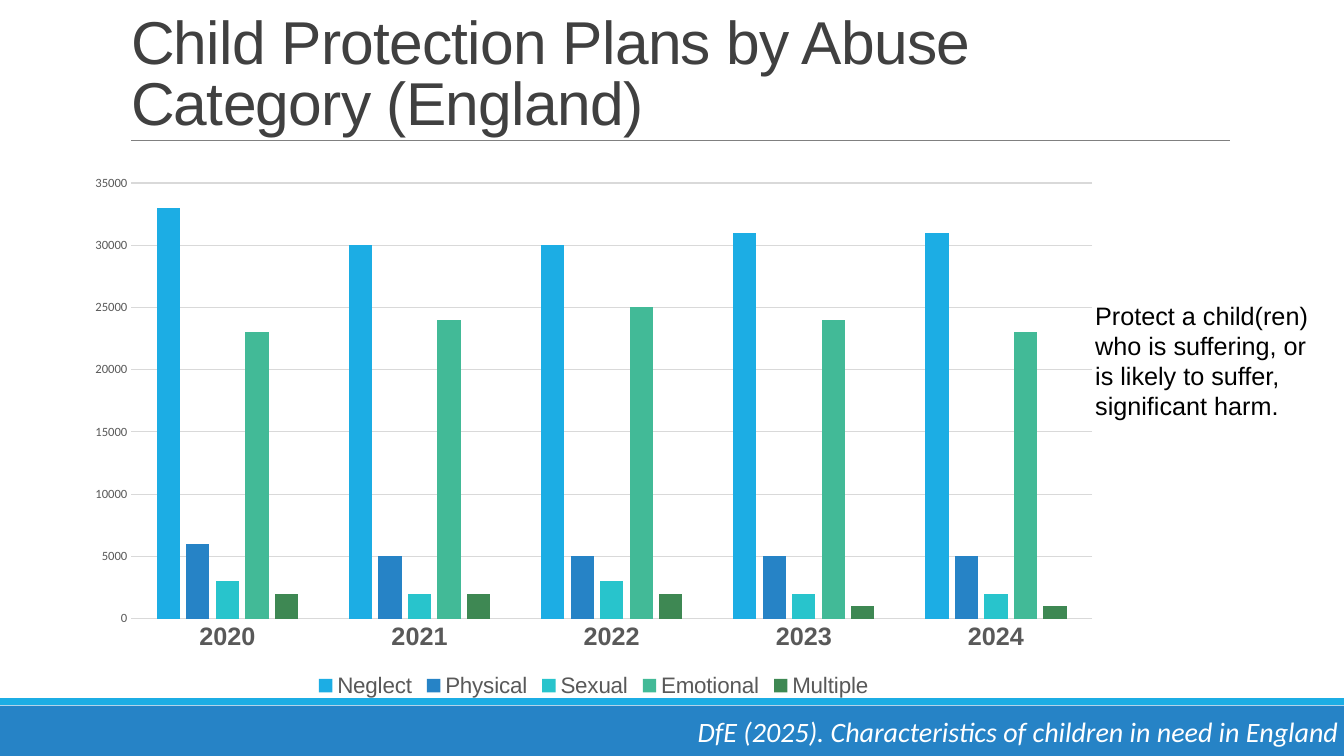
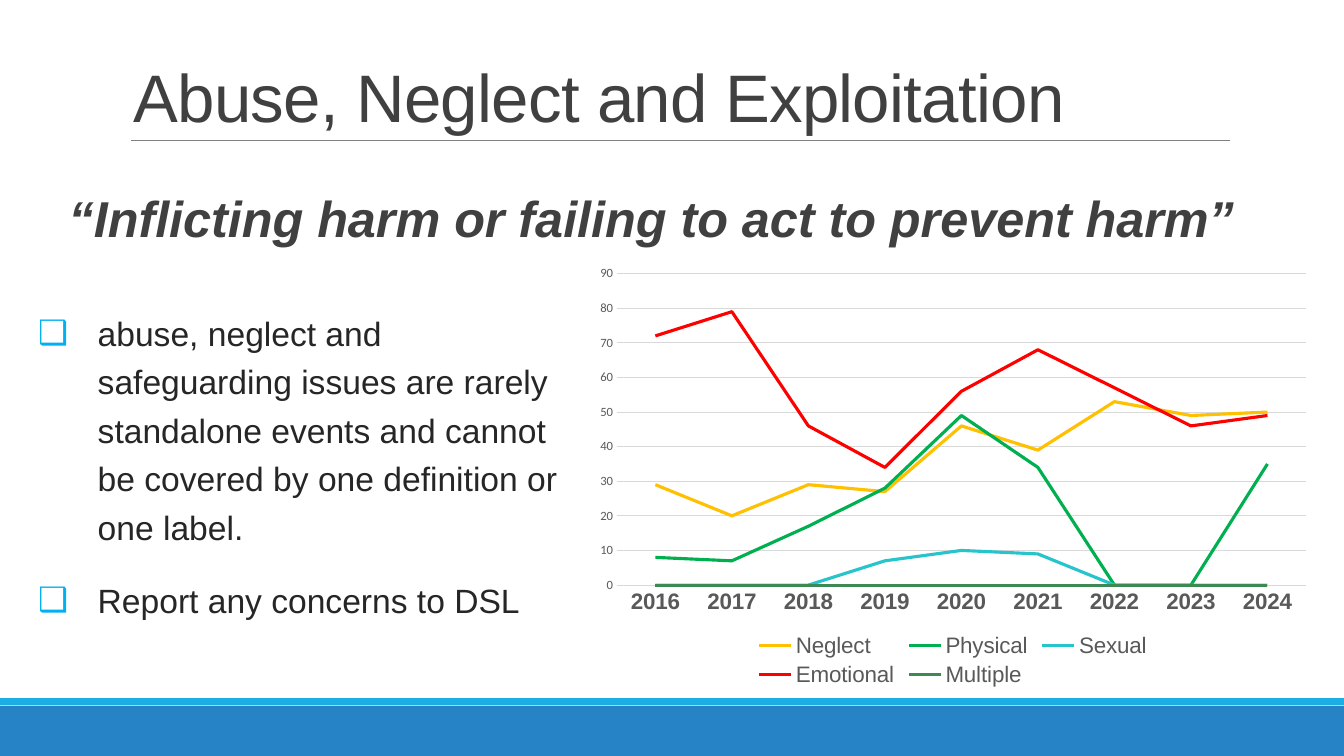
from lxml.etree import SubElement
from pptx import Presentation
from pptx.chart.data import CategoryChartData
from pptx.dml.color import RGBColor
from pptx.enum.chart import XL_CHART_TYPE, XL_LEGEND_POSITION, XL_TICK_MARK
from pptx.enum.shapes import MSO_CONNECTOR, MSO_SHAPE
from pptx.enum.text import MSO_ANCHOR, MSO_AUTO_SIZE, PP_ALIGN
from pptx.oxml.ns import qn
from pptx.util import Pt

COLOURS = {
    "band": "2683C6", "stripe": "1CADE4", "rule": "808080", "title": "404040",
    "body": "262626", "black": "000000", "white": "FFFFFF", "bullet": "00B0F0",
    "axis": "595959", "grid": "D9D9D9", "sky": "1CADE4", "blue": "2683C6",
    "teal": "28C4CC", "mint": "42BA97", "forest": "3E8853",
    "amber": "FFC000", "green": "00B050", "red": "FF0000",
}
HEADING_FONT = "Arial"
SMALL_FONT = "Calibri"
NO_SIDE_INSETS = (0, 10.8, 0, 0)


def colour(name):
    return RGBColor.from_string(COLOURS[name])


def points(values):
    return [Pt(value) for value in values]


def style_font(font, size, colour_name, name=HEADING_FONT, bold=False, italic=False):
    font.name, font.size, font.bold, font.italic = name, Pt(size), bold, italic
    font.color.rgb = colour(colour_name)


def set_insets(frame, insets):
    """Insets run left, top, right, bottom."""
    (frame.margin_left, frame.margin_top,
     frame.margin_right, frame.margin_bottom) = points(insets)


def set_tracking(para, amount):
    for span in para.runs:
        span.font._element.set("spc", str(round(amount * 100)))


def add_band(page, place, colour_name):
    band = page.shapes.add_shape(MSO_SHAPE.RECTANGLE, *points(place))
    band.shadow.inherit = False
    band.fill.solid()
    band.fill.fore_color.rgb = colour(colour_name)
    band.line.fill.background()


def add_rule(page, start_x, end_x, y):
    rule = page.shapes.add_connector(MSO_CONNECTOR.STRAIGHT, *points((start_x, y, end_x, y)))
    rule.line.color.rgb = colour("rule")
    rule.line.width = Pt(0.5)
    SubElement(rule._element.spPr, qn("a:effectLst"))


def add_page(deck, title, place, size, insets, line_spacing):
    """Adds a slide with the shared bands, rule and title style."""
    page = deck.slides.add_slide(deck.slide_layouts[5])
    add_band(page, (0, 504, 960, 36), "band")
    add_band(page, (0, 498.6, 960, 5), "stripe")
    add_rule(page, 93.6, 878.4, 100)

    box = page.shapes.title
    box.left, box.top, box.width, box.height = points(place)
    frame = box.text_frame
    frame.text = title
    frame.word_wrap = True
    frame.auto_size = MSO_AUTO_SIZE.NONE
    frame.vertical_anchor = MSO_ANCHOR.BOTTOM
    set_insets(frame, insets)
    para = frame.paragraphs[0]
    para.alignment = PP_ALIGN.LEFT
    para.line_spacing = line_spacing
    style_font(para.font, size, "title")
    set_tracking(para, -0.5)
    return page


def add_text(page, place, texts, size, colour_name, insets=(7.2, 3.6, 7.2, 3.6),
             align=PP_ALIGN.LEFT, line_spacing=1.0, before=0, after=0, **font_style):
    """Adds a text box with one paragraph per text and returns the paragraphs."""
    frame = page.shapes.add_textbox(*points(place)).text_frame
    frame.word_wrap = True
    set_insets(frame, insets)
    for index, text in enumerate(texts):
        para = frame.add_paragraph() if index else frame.paragraphs[0]
        para.text = text
        para.alignment = align
        para.line_spacing = line_spacing
        para.space_before, para.space_after = Pt(before), Pt(after)
        style_font(para.font, size, colour_name, **font_style)
    return frame.paragraphs


def add_bullet(para, symbol, indent):
    properties = para._p.get_or_add_pPr()
    properties.set("marL", str(Pt(indent)))
    properties.set("indent", str(-Pt(indent)))
    bullet_colour = SubElement(properties, qn("a:buClr"))
    SubElement(bullet_colour, qn("a:srgbClr"), val=COLOURS["bullet"])
    SubElement(properties, qn("a:buFont"), typeface=HEADING_FONT)
    SubElement(properties, qn("a:buChar"), char=symbol)
    # Schema order puts the bullet before the default run properties.
    defaults = properties.find(qn("a:defRPr"))
    if defaults is not None:
        properties.append(defaults)


def add_chart(page, place, kind, categories, series, category_size):
    """Each series is a name, a colour name and its values."""
    data = CategoryChartData()
    data.categories = categories
    for name, _, values in series:
        data.add_series(name, values)
    chart = page.shapes.add_chart(kind, *points(place), data).chart
    chart.has_title = False
    style_font(chart.font, 10, "black", SMALL_FONT)
    chart.has_legend = True
    chart.legend.position = XL_LEGEND_POSITION.BOTTOM
    chart.legend.include_in_layout = False
    style_font(chart.legend.font, 16, "axis")

    category_axis, value_axis = chart.category_axis, chart.value_axis
    for axis in (category_axis, value_axis):
        axis.major_tick_mark = axis.minor_tick_mark = XL_TICK_MARK.NONE
    style_font(category_axis.tick_labels.font, category_size, "axis", bold=True)
    style_font(value_axis.tick_labels.font, 9, "axis", SMALL_FONT)
    category_axis.has_major_gridlines = False
    value_axis.has_major_gridlines = True
    value_axis.format.line.fill.background()
    for line in (category_axis.format.line, value_axis.major_gridlines.format.line):
        line.color.rgb = colour("grid")
        line.width = Pt(0.75)

    plot = chart.plots[0]
    plot.vary_by_categories = False
    for plotted, (_, colour_name, _) in zip(plot.series, series):
        if kind == XL_CHART_TYPE.LINE:
            plotted.smooth = False
            plotted.format.line.color.rgb = colour(colour_name)
            plotted.format.line.width = Pt(2.25)
        else:
            plotted.format.fill.solid()
            plotted.format.fill.fore_color.rgb = colour(colour_name)
    return chart


def build_plans_page(deck):
    page = add_page(deck, "Child Protection Plans by Abuse Category (England)",
                    (86.4, 22.3, 792, 80), 43.2, (7.2, 3.6, 7.2, 3.6), 0.85)
    add_text(page, (0, 501.8, 956.2, 38.2),
             ["DfE (2025). Characteristics of children in need in England"],
             20, "white", (0, 3.6, 0, 3.6), PP_ALIGN.RIGHT, 1.2, before=6,
             name=SMALL_FONT, italic=True)
    add_text(page, (775.2, 210.7, 169.2, 94.3),
             ["Protect a child(ren) who is suffering, or is likely to suffer, significant harm."],
             18, "black")
    chart = add_chart(
        page, (53.3, 117.8, 741.6, 383.8), XL_CHART_TYPE.COLUMN_CLUSTERED,
        [str(year) for year in range(2020, 2025)],
        [("Neglect", "sky", (33000, 30000, 30000, 31000, 31000)),
         ("Physical", "blue", (6000, 5000, 5000, 5000, 5000)),
         ("Sexual", "teal", (3000, 2000, 3000, 2000, 2000)),
         ("Emotional", "mint", (23000, 24000, 25000, 24000, 23000)),
         ("Multiple", "forest", (2000, 2000, 2000, 1000, 1000))],
        category_size=18)
    chart.plots[0].gap_width = 219
    chart.plots[0].overlap = -27


def build_harm_page(deck):
    page = add_page(deck, "Abuse, Neglect and Exploitation",
                    (94.3, 38.1, 689, 59), 48, (0.9, 0.9, 0, 0), 1.0)
    quote = add_text(page, (49.1, 101.3, 884.2, 69.8),
                     ["“Inflicting harm or failing to act to prevent harm”"],
                     36, "title", NO_SIDE_INSETS, line_spacing=1.5, before=6, after=6,
                     bold=True, italic=True)
    set_tracking(quote[0], -0.02)
    advice = add_text(page, (27.3, 207, 380.2, 301),
                      ["abuse, neglect and safeguarding issues are rarely standalone events "
                       "and cannot be covered by one definition or one label.",
                       "Report any concerns to DSL"],
                      24, "body", NO_SIDE_INSETS, line_spacing=1.2, after=18)
    for para in advice:
        add_bullet(para, "❑", 42.5)
    add_chart(
        page, (418.3, 184, 524.9, 309.6), XL_CHART_TYPE.LINE,
        [str(year) for year in range(2016, 2025)],
        [("Neglect", "amber", (29, 20, 29, 27, 46, 39, 53, 49, 50)),
         ("Physical", "green", (8, 7, 17, 28, 49, 34, 0, 0, 35)),
         ("Sexual", "teal", (0, 0, 0, 7, 10, 9, 0, 0, 0)),
         ("Emotional", "red", (72, 79, 46, 34, 56, 68, 57, 46, 49)),
         ("Multiple", "forest", (0,) * 9)],
        category_size=16)


def main():
    deck = Presentation()
    deck.slide_width, deck.slide_height = Pt(960), Pt(540)
    build_plans_page(deck)
    build_harm_page(deck)
    deck.save("out.pptx")


if __name__ == "__main__":
    main()
